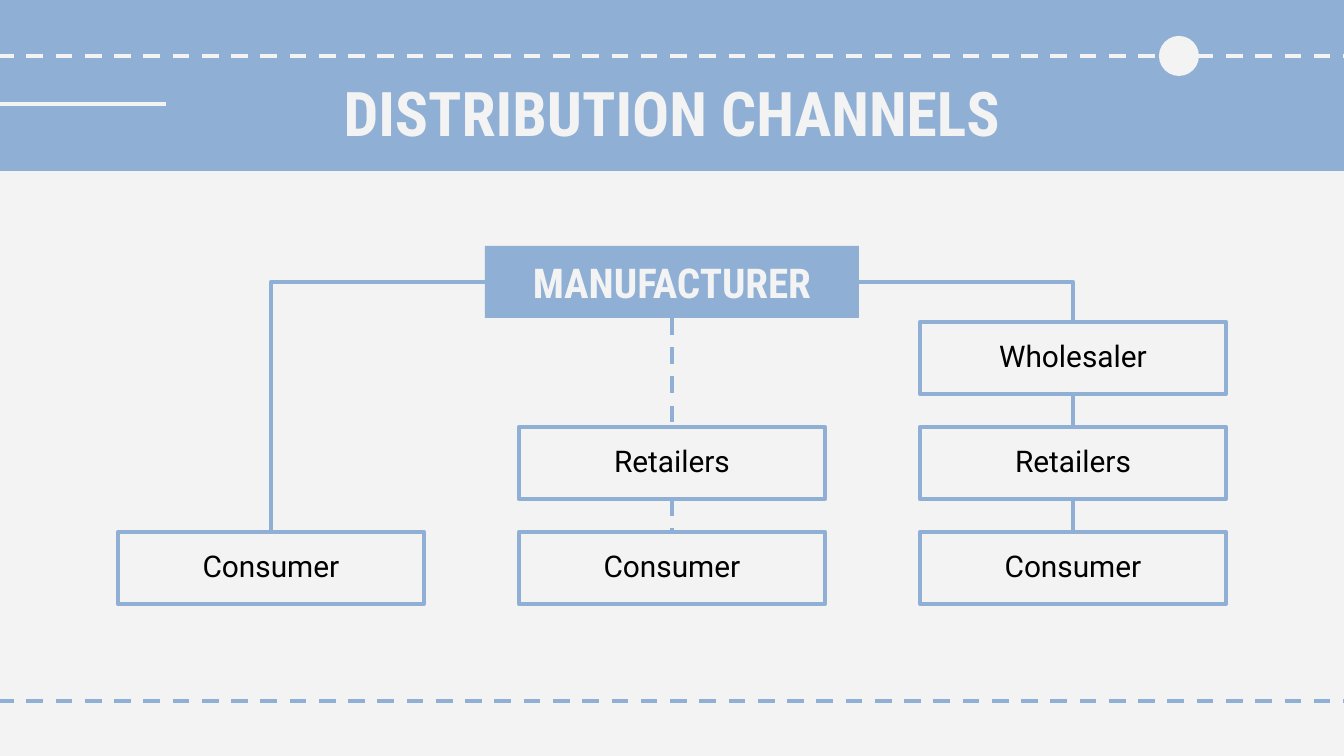
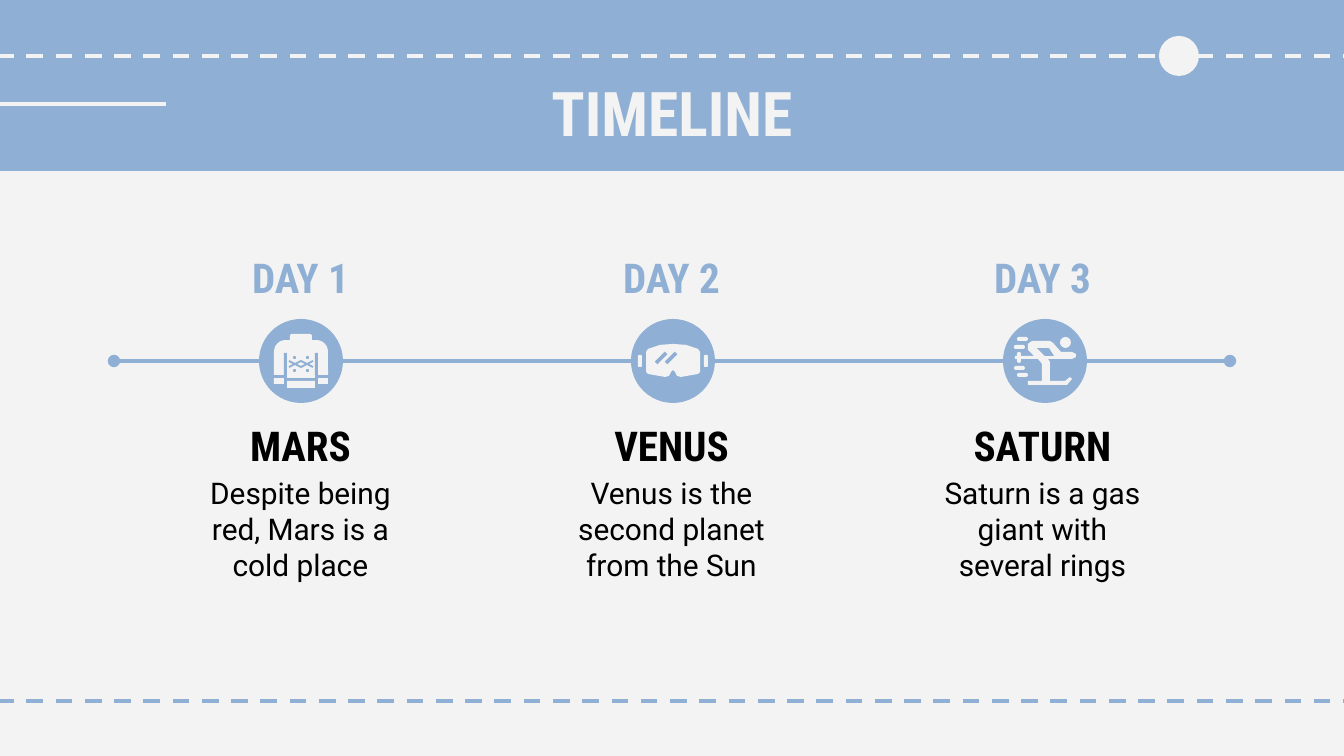
from pptx import Presentation
from pptx import util as u
from pptx.dml.color import RGBColor
from pptx.enum import dml, shapes, text
from pptx.oxml.ns import qn
from lxml import etree

PX = 914400 / 134.4
WIDTH, HEIGHT = 1344, 756
BLUE = RGBColor(0x8F, 0xB0, 0xD4)
LIGHT = RGBColor(0xF3, 0xF3, 0xF3)
BLACK = RGBColor(0, 0, 0)
HEAD_FONT, BODY_FONT = "Roboto Condensed", "Roboto"
LINE_PT = 2.25
SHAPE = shapes.MSO_SHAPE
TOP, LEFT, BOTTOM, RIGHT = range(4)


def px(n):
    return u.Emu(round(n * PX))


# Basic elements
def paint(sp, fill=None, line=None, width=LINE_PT):
    sp.shadow.inherit = False
    if fill is None:
        sp.fill.background()
    else:
        sp.fill.solid()
        sp.fill.fore_color.rgb = fill
    if line is None:
        sp.line.fill.background()
    else:
        sp.line.color.rgb = line
        sp.line.width = u.Pt(width)


def add_shape(slide, kind, x, y, w, h, fill=None, line=None, round_by=None):
    sp = slide.shapes.add_shape(kind, px(x), px(y), px(w), px(h))
    if round_by is not None:
        sp.adjustments[0] = round_by
    paint(sp, fill, line)
    return sp


def add_outline(slide, cx, cy, points, fill=None, line=None, width=1.5):
    """Draw points given relative to (cx, cy); closed only when filled."""
    (x0, y0), *rest = [(cx + x, cy + y) for x, y in points]
    builder = slide.shapes.build_freeform(x0, y0, scale=PX)
    builder.add_line_segments(rest, close=fill is not None)
    paint(builder.convert_to_shape(), fill, line, width)


def style_line(line, color, dashed=False, ends=None):
    line.line.color.rgb = color
    line.line.width = u.Pt(LINE_PT)
    if dashed:
        line.line.dash_style = dml.MSO_LINE.DASH
    if ends:
        ln = line.line._get_or_add_ln()
        for tag in ("a:headEnd", "a:tailEnd"):
            etree.SubElement(ln, qn(tag), type=ends)
    etree.SubElement(line._element.spPr, qn("a:effectLst"))


def add_line(slide, x1, y1, x2, y2, color, dashed=False, ends=None):
    line = slide.shapes.add_connector(
        shapes.MSO_CONNECTOR.STRAIGHT, px(x1), px(y1), px(x2), px(y2))
    style_line(line, color, dashed, ends)


def side_middle(sp, side):
    x = {LEFT: 0, RIGHT: sp.width}.get(side, sp.width // 2)
    y = {TOP: 0, BOTTOM: sp.height}.get(side, sp.height // 2)
    return sp.left + x, sp.top + y


def join(slide, start, start_side, end, dashed=False):
    """Link a side of one box to the top of another."""
    bent = start_side in (LEFT, RIGHT)
    kind = shapes.MSO_CONNECTOR.ELBOW if bent else shapes.MSO_CONNECTOR.STRAIGHT
    line = slide.shapes.add_connector(
        kind, *side_middle(start, start_side), *side_middle(end, TOP))
    line.begin_connect(start, start_side)
    line.end_connect(end, TOP)
    if bent:
        geom = line._element.spPr.find(qn("a:prstGeom"))
        geom.set("prst", "bentConnector2")
    style_line(line, BLUE, dashed)


def set_text(sp, words, size, color, heading=True, insets=(13, 13),
             anchor=text.MSO_ANCHOR.TOP):
    tf = sp.text_frame
    tf.word_wrap = True
    tf.vertical_anchor = anchor
    tf.margin_left = tf.margin_right = px(13)
    tf.margin_top, tf.margin_bottom = map(px, insets)
    tf.text = words
    p = tf.paragraphs[0]
    p.alignment = text.PP_ALIGN.CENTER
    font = p.runs[0].font
    font.name = HEAD_FONT if heading else BODY_FONT
    font.size = u.Pt(size)
    font.bold = heading
    font.color.rgb = color


def add_text(slide, x, y, w, h, words, size, color, heading=True):
    sp = slide.shapes.add_textbox(px(x), px(y), px(w), px(h))
    set_text(sp, words, size, color, heading)


# Frame shared by the slides
def new_slide(prs, title):
    slide = prs.slides.add_slide(prs.slide_layouts[6])
    slide.background.fill.solid()
    slide.background.fill.fore_color.rgb = LIGHT
    add_shape(slide, SHAPE.RECTANGLE, -3, 0, WIDTH + 6, 171, BLUE)
    add_line(slide, -3, 56, WIDTH + 3, 56, LIGHT, dashed=True)
    add_line(slide, -4, 104, 166, 104, LIGHT)
    add_shape(slide, SHAPE.OVAL, 1159, 36, 40, 40, LIGHT)
    add_line(slide, -3, 701, WIDTH + 3, 701, BLUE, dashed=True)
    add_text(slide, 105, 62, 1134, 85, title, 33, LIGHT)
    return slide


# Distribution channels
def add_box(slide, column, row, words):
    sp = add_shape(slide, SHAPE.ROUNDED_RECTANGLE, 118 + 401 * column,
                   322 + 105 * row, 306, 72, line=BLUE, round_by=0)
    set_text(sp, words, 16, BLACK, heading=False, insets=(16, 0))
    return sp


def build_channels(prs):
    slide = new_slide(prs, "DISTRIBUTION CHANNELS")
    maker = add_shape(slide, SHAPE.ROUNDED_RECTANGLE, 485, 246, 374, 72,
                      BLUE, round_by=0)
    set_text(maker, "MANUFACTURER", 22, LIGHT, insets=(0, 0),
             anchor=text.MSO_ANCHOR.MIDDLE)
    stages = ["Wholesaler", "Retailers", "Consumer"]
    for column, (first_row, side) in enumerate([(2, LEFT), (1, BOTTOM), (0, RIGHT)]):
        previous = maker
        for row in range(first_row, len(stages)):
            box = add_box(slide, column, row, stages[row])
            join(slide, previous, side if previous is maker else BOTTOM,
                 box, dashed=column == 1)
            previous = box


# Timeline icons, drawn around the centre of their disc
def add_parts(slide, cx, cy, kind, color, boxes, round_by=None):
    for x, y, w, h in boxes:
        add_shape(slide, kind, cx + x, cy + y, w, h, color, round_by=round_by)


def draw_sweater(slide, cx, cy):
    add_parts(slide, cx, cy, SHAPE.ROUND_2_SAME_RECTANGLE, LIGHT,
              [(-27, -21, 54, 35)], 0.33)
    add_parts(slide, cx, cy, SHAPE.ROUNDED_RECTANGLE, LIGHT, [(-11, -27, 22, 8)], 0.25)
    add_parts(slide, cx, cy, SHAPE.RECTANGLE, LIGHT,
              [(-27, 17, 10, 6), (17, 17, 10, 6), (-14, 13, 28, 4), (-14, 20, 28, 7)])
    add_parts(slide, cx, cy, SHAPE.RECTANGLE, BLUE, [(-17, -8, 3, 22), (14, -8, 3, 22)])
    for peak in (0, 6):
        zigzag = [(x, 3 if i % 2 else peak) for i, x in enumerate(range(-12, 13, 6))]
        add_outline(slide, cx, cy, zigzag, line=BLUE, width=1)
    add_parts(slide, cx, cy, SHAPE.OVAL, BLUE,
              [(x, y, 3, 3) for x in (-8, 5) for y in (-5, 8)])


def draw_goggles(slide, cx, cy):
    half = [(0, -17), (13, -16), (25, -12), (27, -9), (27, 11), (25, 13),
            (8, 16), (4, 15), (2, 11), (0, 9)]
    mirrored = [(-x, y) for x, y in half[-2:0:-1]]
    add_outline(slide, cx, cy, half + mirrored, LIGHT)
    add_parts(slide, cx, cy, SHAPE.ROUNDED_RECTANGLE, LIGHT,
              [(-35, -6, 4, 12), (31, -6, 4, 12)], 0.3)
    for x in (-17, -7):
        add_outline(slide, cx, cy, [(x, 2), (x + 10, -8)], line=BLUE, width=2)


def draw_skier(slide, cx, cy):
    add_parts(slide, cx, cy, SHAPE.ROUNDED_RECTANGLE, LIGHT,
              [(-31, 5, 11, 4), (-28, 12, 11, 4), (-31, -16, 11, 4),
               (-28, -24, 11, 4), (-28, -9, 4, 11)], 0.5)
    add_parts(slide, cx, cy, SHAPE.OVAL, LIGHT, [(15, -24, 11, 11)])
    add_outline(slide, cx, cy, [
        (-13, -20), (5, -20), (8, -18), (16, -9), (27, -9), (31, -7), (31, -4),
        (27, -2), (3, -2), (5, 1), (5, 20), (-3, 20), (-3, 3), (-7, -2),
        (-30, -2), (-30, -5), (-11, -5), (-17, -11), (-17, -17)], LIGHT)
    add_outline(slide, cx, cy, [(4, -13), (9, -5), (0, -5), (-8, -13)], BLUE)
    add_outline(slide, cx, cy, [(-17, 20), (20, 20), (25, 16), (27, 18),
                                (22, 24), (-17, 24)], LIGHT)


# Timeline
def build_timeline(prs):
    slide = new_slide(prs, "TIMELINE")
    axis_y, radius = 361, 42
    add_line(slide, 114, axis_y, 1230, axis_y, BLUE, ends="oval")
    stops = [
        ("MARS", "Despite being red, Mars is a cold place", draw_sweater),
        ("VENUS", "Venus is the second planet from the Sun", draw_goggles),
        ("SATURN", "Saturn is a gas giant with several rings", draw_skier),
    ]
    for i, (name, fact, draw_icon) in enumerate(stops):
        x, cx = 176 + 371 * i, 301 + 372 * i
        add_text(slide, x, 239, 249, 70, f"DAY {i + 1}", 22, BLUE)
        add_text(slide, x, 407, 249, 70, name, 22, BLACK)
        add_text(slide, x, 462, 249, 118, fact, 16, BLACK, heading=False)
        add_shape(slide, SHAPE.OVAL, cx - radius, axis_y - radius,
                  2 * radius, 2 * radius, BLUE)
        draw_icon(slide, cx, axis_y)


def main():
    prs = Presentation()
    prs.slide_width, prs.slide_height = px(WIDTH), px(HEIGHT)
    build_channels(prs)
    build_timeline(prs)
    prs.save("out.pptx")


if __name__ == "__main__":
    main()
